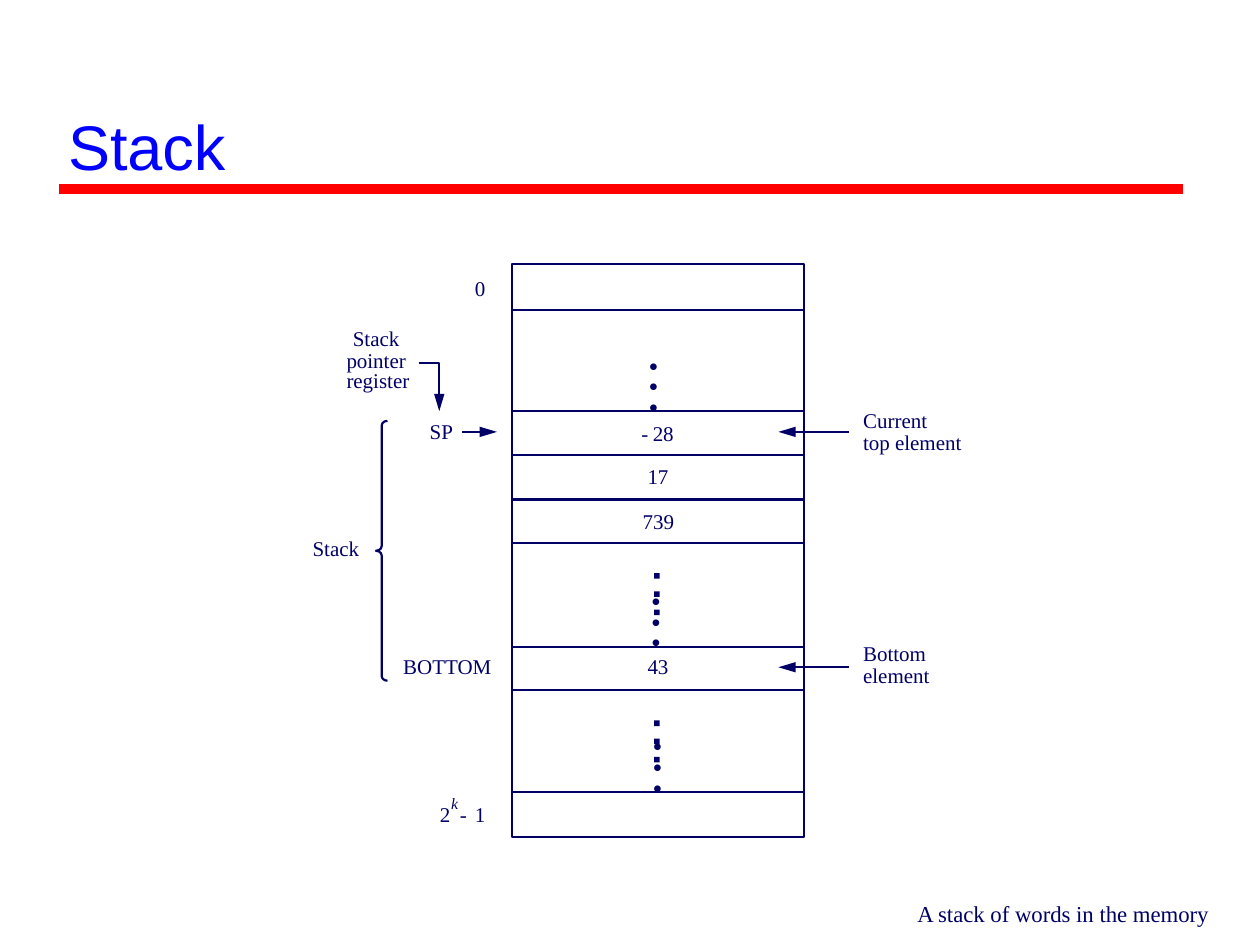
import pptx
import pptx.util
import pptx.dml.color
import pptx.enum.shapes
import pptx.enum.text
import pptx.oxml.ns
import lxml.etree

Pt = pptx.util.Pt
Shape = pptx.enum.shapes.MSO_SHAPE
Fit = pptx.enum.text.MSO_AUTO_SIZE
Anchor = pptx.enum.text.MSO_ANCHOR
Align = pptx.enum.text.PP_ALIGN
HUES = {"ink": "000066", "title": "0000FF", "rule": "FF0000"}


def tint(name):
    return pptx.dml.color.RGBColor.from_string(HUES[name])


def write(frame, text, size=12, font="Times New Roman", hue="ink",
          italic=False, pitch=None):
    frame.text = text
    for para in frame.paragraphs:
        para.alignment = Align.LEFT
        if pitch:
            para.line_spacing = Pt(pitch)
        for run in para.runs:
            run.font.size = Pt(size)
            run.font.name = font
            run.font.italic = italic
            run.font.color.rgb = tint(hue)


class Board:
    def __init__(self, slide, hue="ink", width=1.25):
        self.slide = slide
        self.shapes = slide.shapes
        self.hue = hue
        self.width = width

    def title(self, text, left, top, width, height):
        box = self.shapes.title
        box.left, box.top = Pt(left), Pt(top)
        box.width, box.height = Pt(width), Pt(height)
        frame = box.text_frame
        frame.auto_size = Fit.NONE
        frame.vertical_anchor = Anchor.BOTTOM
        write(frame, text, size=36, font="Arial", hue="title")

    def label(self, text, left, top, width, height=14.4, **form):
        box = self.shapes.add_textbox(Pt(left), Pt(top), Pt(width), Pt(height))
        frame = box.text_frame
        frame.margin_left = frame.margin_right = 0
        frame.margin_top = frame.margin_bottom = 0
        frame.word_wrap = False
        frame.auto_size = Fit.SHAPE_TO_FIT_TEXT
        write(frame, text, **form)

    def dots(self, left, top, height):
        box = self.shapes.add_textbox(Pt(left), Pt(top), Pt(21), Pt(height))
        frame = box.text_frame
        frame.word_wrap = True
        frame.margin_top, frame.margin_bottom = Pt(30), 0
        write(frame, "•\n•\n•", size=16, pitch=11.8)

    def stroke(self, shape, hue=None, width=None, head=False):
        shape.line.color.rgb = tint(hue or self.hue)
        shape.line.width = Pt(width or self.width)
        if head:
            line = shape.line._get_or_add_ln()
            lxml.etree.SubElement(line, pptx.oxml.ns.qn("a:tailEnd"),
                                  type="triangle", w="med", len="lg")

    def line(self, x1, y1, x2, y2, **look):
        link = self.shapes.add_connector(
            pptx.enum.shapes.MSO_CONNECTOR.STRAIGHT,
            Pt(x1), Pt(y1), Pt(x2), Pt(y2))
        self.stroke(link, **look)
        lxml.etree.SubElement(link._element.spPr,
                              pptx.oxml.ns.qn("a:effectLst"))

    def bend(self, points, **look):
        spots = [(Pt(x), Pt(y)) for x, y in points]
        build = self.shapes.build_freeform(*spots[0])
        build.add_line_segments(spots[1:], close=False)
        path = build.convert_to_shape()
        path.shadow.inherit = False
        path.fill.background()
        self.stroke(path, **look)

    def shape(self, kind, left, top, width, height, fill=None):
        item = self.shapes.add_shape(kind, Pt(left), Pt(top),
                                     Pt(width), Pt(height))
        item.shadow.inherit = False
        if fill:
            item.fill.solid()
            item.fill.fore_color.rgb = tint(fill)
            item.line.fill.background()
        else:
            item.fill.background()
            self.stroke(item)
        return item


def main():
    deck = pptx.Presentation()
    deck.slide_width, deck.slide_height = Pt(720), Pt(540)
    board = Board(deck.slides.add_slide(deck.slide_layouts[5]))

    board.line(33.9, 108, 676, 108, hue="rule", width=6)
    board.title("Stack", 31.7, 18, 645.8, 90)

    left, right = 292.5, 459.5
    board.shape(Shape.RECTANGLE, left, 151, right - left, 327.5)
    for y in (177, 235, 259.8, 285.5, 310.3, 369.8, 394.4, 452.6):
        board.line(left, y, right, y)

    for x, y, height in ((363.6, 176.4, 69), (365, 311, 66), (365.8, 394, 66)):
        board.dots(x, y, height)
    for top in (327.5, 411.7):
        for step in range(3):
            board.shape(Shape.RECTANGLE, 373.8, top + 10.4 * step,
                        3.2, 3.2, fill="ink")

    brace = board.shape(Shape.LEFT_BRACE, 214.8, 240.5, 6.6, 148.5)
    brace.adjustments[0] = 0.4

    board.line(264.2, 246.8, 284, 246.8, head=True)
    for y in (246.8, 381.3):
        board.line(485.3, y, 444.8, y, head=True)
    board.bend([(239.3, 207.5), (251, 207.5), (251, 235)], head=True)

    for text, x, y, width in (
        ("Stack", 201.6, 185.8, 30.2),
        ("pointer", 198, 198.7, 36.7),
        ("register", 198, 210.2, 39.6),
        ("Stack", 178.6, 306, 30.2),
        ("0", 271.4, 157.7, 6.5),
        ("SP", 245.5, 239, 15.8),
        ("BOTTOM", 230.4, 373.7, 51.8),
        ("2", 251.3, 457.9, 6.5),
        ("-", 262.8, 457.9, 4.3),
        ("1", 271.4, 457.9, 6.5),
        ("-", 366.5, 240.5, 4.3),
        ("28", 373, 240.5, 13),
        ("17", 370, 265, 13),
        ("739", 367.2, 290.9, 20.2),
        ("43", 370, 373.7, 13),
        ("Current", 493.2, 232.6, 39.6),
        ("top element", 493.2, 245.5, 62.6),
        ("Bottom", 493.2, 365.8, 38.2),
        ("element", 493.2, 378.7, 42.5),
    ):
        board.label(text, x, y, width)
    board.label("k", 257.8, 453.6, 4.3, 10.8, size=9, italic=True)
    board.label("A stack of words in the memory", 524.2, 514, 181.4, 15.8,
                size=13)

    deck.save("out.pptx")


if __name__ == "__main__":
    main()
